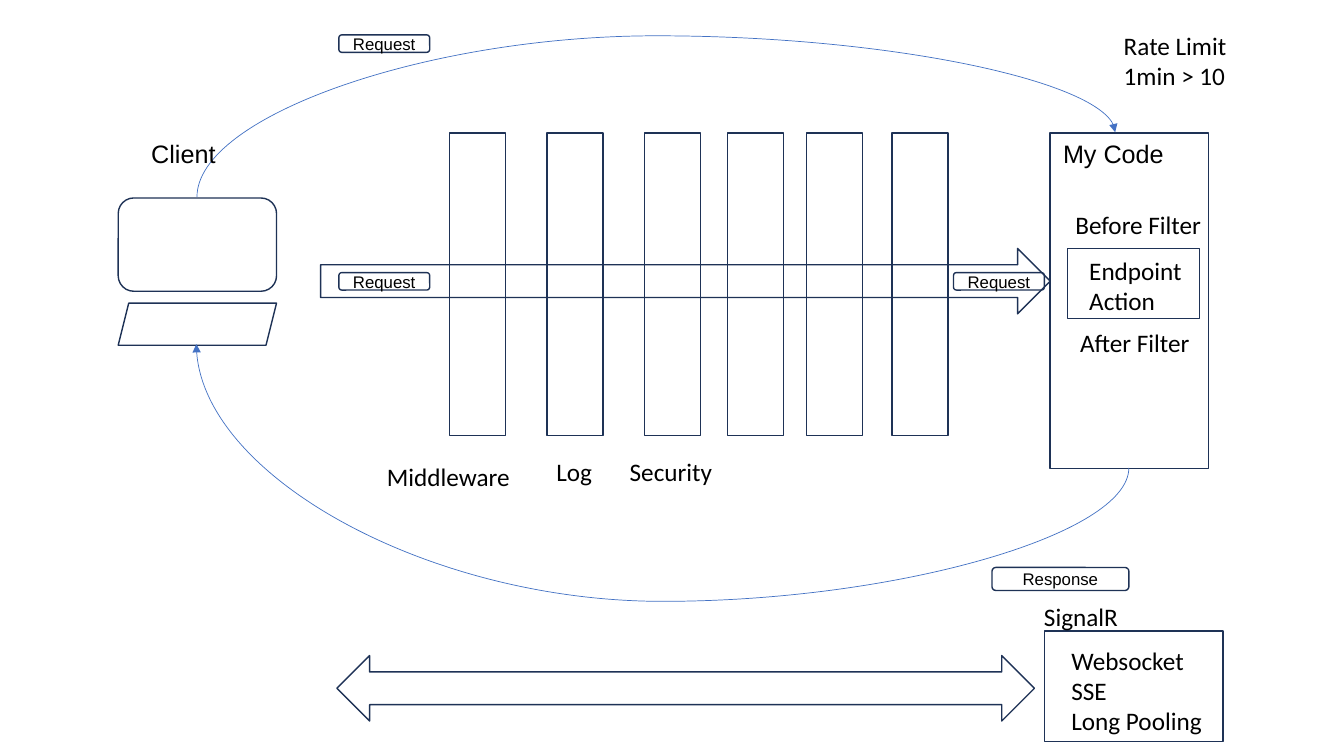
from lxml.etree import SubElement
from pptx import Presentation
from pptx.dml.color import RGBColor
from pptx.enum.shapes import MSO_CONNECTOR, MSO_SHAPE as Preset
from pptx.enum.text import MSO_ANCHOR, MSO_AUTO_SIZE, PP_ALIGN
from pptx.oxml.ns import qn
from pptx.util import Cm, Pt

NAVY = RGBColor(0x1E, 0x32, 0x56)
BLUE = RGBColor(0x44, 0x72, 0xC4)
BLACK = RGBColor(0, 0, 0)

deck = Presentation()
deck.slide_width = Cm(33.87)
deck.slide_height = Cm(19.05)
page = deck.slides.add_slide(deck.slide_layouts[6])


def add_outline(preset, left, top, width, height):
    box = page.shapes.add_shape(preset, Cm(left), Cm(top), Cm(width), Cm(height))
    box.shadow.inherit = False
    box.fill.background()
    box.line.color.rgb = NAVY
    box.line.width = Pt(1)
    return box


def write_text(frame, text, font_name, size, align):
    frame.text = text
    for para in frame.paragraphs:
        para.alignment = align
        para.font.name = font_name
        para.font.size = Pt(size)
        para.font.color.rgb = BLACK


outlines = [
    (Preset.ROUNDED_RECTANGLE, 2.98, 4.99, 3.99, 2.35),
    (Preset.PARALLELOGRAM, 2.98, 7.64, 3.99, 1.06),
    (Preset.RECTANGLE, 26.46, 3.35, 3.99, 8.45),
    (Preset.RECTANGLE, 26.9, 6.26, 3.33, 1.76),
    (Preset.RIGHT_ARROW, 8.08, 6.26, 18.39, 1.65),
    (Preset.LEFT_RIGHT_ARROW, 8.49, 16.52, 17.58, 1.65),
    (Preset.RECTANGLE, 26.32, 15.9, 4.5, 2.79),
]
for outline in outlines:
    add_outline(*outline)

for middleware_left in (11.33, 13.79, 16.24, 18.34, 20.33, 22.48):
    add_outline(Preset.RECTANGLE, middleware_left, 3.35, 1.41, 7.62)

curves = [
    (15.72, -7.42, 1.63, 23.14, True, 249200),
    (15.14, -1.52, 3.12, 23.5, False, -107800),
]
for left, top, width, height, flip_vertical, bend in curves:
    curve = page.shapes.add_connector(
        MSO_CONNECTOR.CURVE, Cm(left), Cm(top), Cm(left + width), Cm(top + height))
    curve.line.color.rgb = BLUE
    curve.line.width = Pt(0.5)
    properties = curve._element.spPr
    frame = properties.find(qn("a:xfrm"))
    frame.set("rot", "5400000")
    frame.set("flipH", "1")
    if flip_vertical:
        frame.set("flipV", "1")
    geometry = properties.find(qn("a:prstGeom"))
    guides = geometry.find(qn("a:avLst"))
    if guides is None:
        guides = SubElement(geometry, qn("a:avLst"))
    SubElement(guides, qn("a:gd"), name="adj1", fmla=f"val {bend}")
    SubElement(properties.find(qn("a:ln")), qn("a:tailEnd"), type="triangle")
    SubElement(properties, qn("a:effectLst"))

messages = [
    ("Request", 8.54, 6.87, 2.29, 0.44),
    ("Request", 24.03, 6.87, 2.29, 0.44),
    ("Request", 8.54, 0.88, 2.29, 0.44),
    ("Response", 25, 14.3, 3.45, 0.58),
]
for text, *place in messages:
    message = add_outline(Preset.ROUNDED_RECTANGLE, *place)
    message.text_frame.vertical_anchor = MSO_ANCHOR.MIDDLE
    write_text(message.text_frame, text, "Arial", 12, PP_ALIGN.CENTER)

labels = [
    ("Client", "Arial", 3.56, 3.35, 2.16, 1.03),
    ("My Code", "Arial", 26.54, 3.35, 3.07, 1.03),
    ("Endpoint\nAction", "Calibri", 27.2, 6.3, 2.87, 1.8),
    ("Log", "Calibri", 13.77, 11.38, 1.42, 1.03),
    ("Security", "Calibri", 15.62, 11.38, 2.62, 1.03),
    ("Middleware", "Calibri", 9.5, 11.51, 3.63, 1.03),
    ("Before Filter", "Calibri", 26.85, 5.16, 3.71, 1.03),
    ("After Filter", "Calibri", 26.97, 8.13, 3.3, 1.03),
    ("Websocket\nSSE\nLong Pooling", "Calibri", 26.75, 16.13, 3.84, 2.57),
    ("SignalR", "Calibri", 26.06, 15.04, 2.39, 1.03),
    ("Rate Limit\n1min > 10", "Calibri", 28.07, 0.64, 3.12, 1.8),
]
for text, font_name, *place in labels:
    label = page.shapes.add_textbox(*map(Cm, place))
    label.text_frame.word_wrap = False
    label.text_frame.auto_size = MSO_AUTO_SIZE.SHAPE_TO_FIT_TEXT
    write_text(label.text_frame, text, font_name, 18, PP_ALIGN.LEFT)

deck.save("out.pptx")
